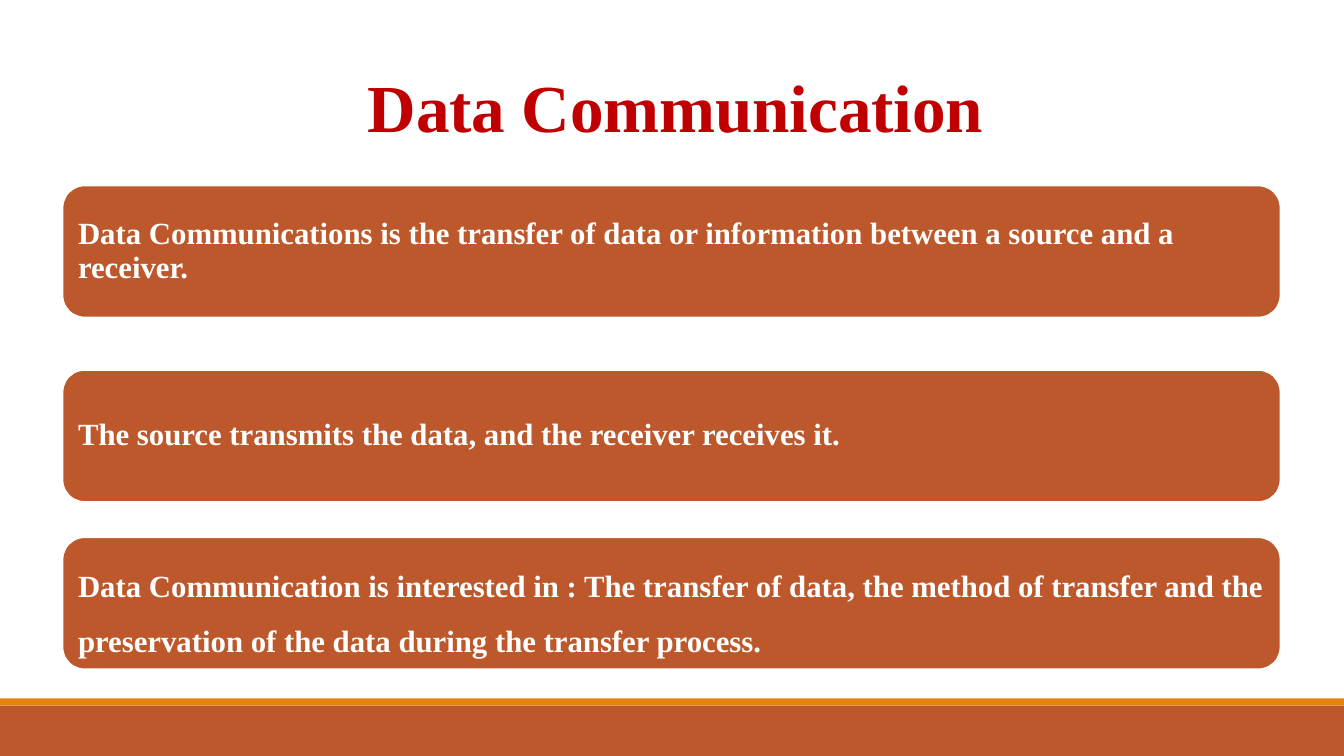
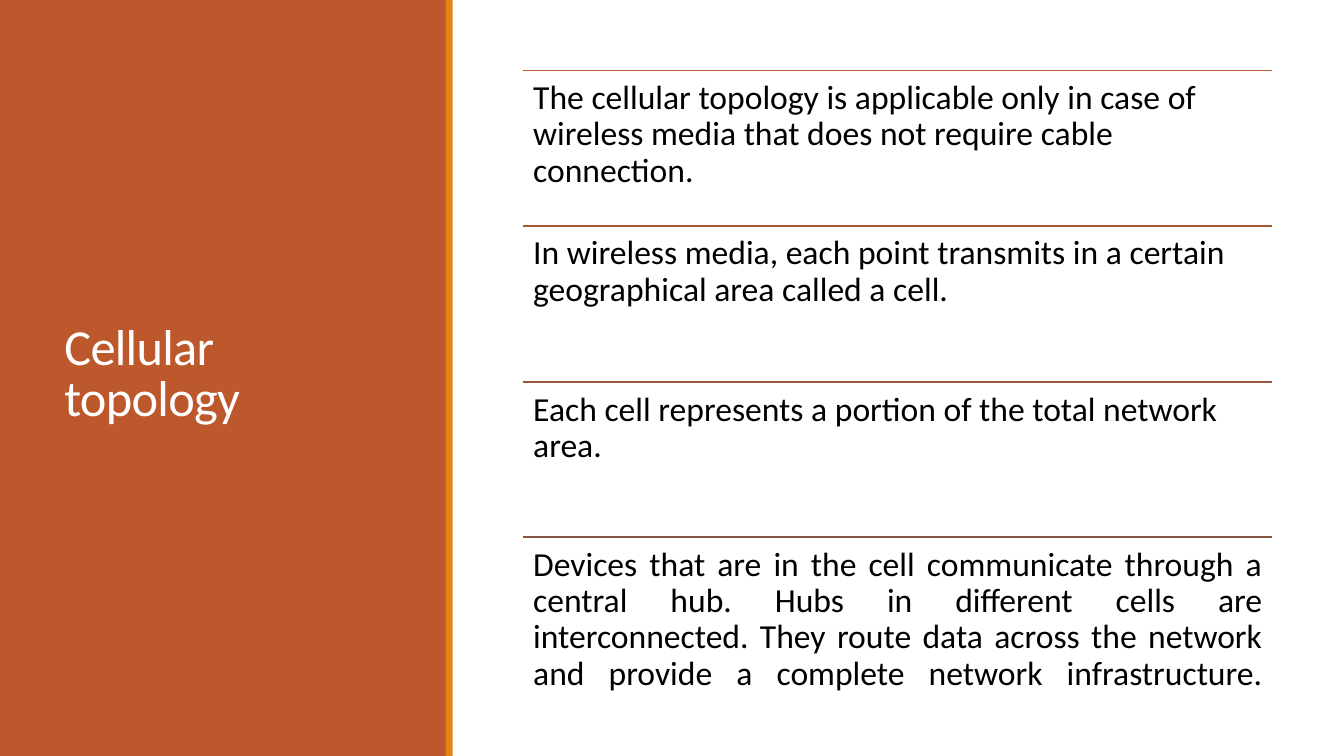
from dataclasses import dataclass

from lxml import etree
from pptx import Presentation
from pptx.dml.color import RGBColor
from pptx.enum.shapes import MSO_CONNECTOR, MSO_SHAPE
from pptx.enum.text import MSO_ANCHOR, PP_ALIGN
from pptx.oxml.ns import qn
from pptx.shapes.autoshape import Shape
from pptx.slide import Slide
from pptx.util import Inches, Pt

# Shared look
RUST = RGBColor(0xBD, 0x58, 0x2C)
AMBER = RGBColor(0xE4, 0x83, 0x12)
RED = RGBColor(0xC0, 0x00, 0x00)
WHITE = RGBColor(0xFF, 0xFF, 0xFF)
BLACK = RGBColor(0x00, 0x00, 0x00)
SERIF, SANS = "Times New Roman", "Calibri"
WIDE, HIGH, TRIM = 13.33, 7.5, 0.07

RECT, ROUND = MSO_SHAPE.RECTANGLE, MSO_SHAPE.ROUNDED_RECTANGLE
STRAIGHT = MSO_CONNECTOR.STRAIGHT
TOP, MIDDLE, BOTTOM = MSO_ANCHOR.TOP, MSO_ANCHOR.MIDDLE, MSO_ANCHOR.BOTTOM
LEFT, CENTER, JUSTIFY = PP_ALIGN.LEFT, PP_ALIGN.CENTER, PP_ALIGN.JUSTIFY


@dataclass(frozen=True)
class Area:
    left: float
    top: float
    width: float
    height: float

    def lengths(self) -> list[Inches]:
        return [Inches(v) for v in (self.left, self.top, self.width, self.height)]


@dataclass(frozen=True)
class Style:
    font: str
    size: int
    color: RGBColor
    bold: bool = False
    anchor: MSO_ANCHOR = MIDDLE
    spacing: float = 0.9
    inset: float = 0.1
    track: int = 0  # hundredths of a point


@dataclass(frozen=True)
class Card:
    top: float
    text: str
    spacing: float = 0.9


@dataclass(frozen=True)
class Row:
    color: RGBColor
    text: str
    align: PP_ALIGN = LEFT


TITLE = Style(SERIF, 48, RED, True, BOTTOM, 0.85, track=-10)
SIDE = Style(SANS, 36, WHITE, spacing=0.85, track=-50)
BODY = Style(SANS, 24, BLACK, anchor=TOP)

CARDS = [
    Card(1.84, "Data Communications is the transfer of data or information "
         "between a source and a receiver."),
    Card(3.67, "The source transmits the data, and the receiver receives it."),
    Card(5.33, "Data Communication is interested in : The transfer of data, "
         "the method of transfer and the preservation of the data during "
         "the transfer process.", 1.5),
]
# The closing line break stretches the last justified line
ROWS = [
    Row(RUST, "The cellular topology is applicable only in case of wireless "
        "media that does not require cable connection."),
    Row(RGBColor(0xAA, 0x58, 0x34), "In wireless media, each point transmits "
        "in a certain geographical area called a cell."),
    Row(RGBColor(0x97, 0x57, 0x3A), "Each cell represents a portion of the "
        "total network area."),
    Row(RGBColor(0x86, 0x56, 0x40), "Devices that are in the cell communicate "
        "through a central hub. Hubs in different cells are interconnected. "
        "They route data across the network and provide a complete network "
        "infrastructure.\v", JUSTIFY),
]


def add_block(slide: Slide, area: Area, color: RGBColor, kind: MSO_SHAPE = RECT) -> Shape:
    block = slide.shapes.add_shape(kind, *area.lengths())
    block.shadow.inherit = False
    block.fill.solid()
    block.fill.fore_color.rgb = color
    block.line.fill.background()
    return block


def set_text(shape: Shape, text: str, style: Style, align: PP_ALIGN = LEFT) -> None:
    frame = shape.text_frame
    frame.word_wrap = True
    frame.vertical_anchor = style.anchor
    frame.margin_left = frame.margin_right = Inches(style.inset)
    frame.margin_top = frame.margin_bottom = Inches(style.inset)
    para = frame.paragraphs[0]
    para.text = text
    para.alignment = align
    para.line_spacing = style.spacing
    font = para.font
    font.name, font.size, font.bold = style.font, Pt(style.size), style.bold
    font.color.rgb = style.color
    if style.track:
        for run in para.runs:
            run._r.get_or_add_rPr().set("spc", str(style.track))


def add_text(slide: Slide, area: Area, text: str, style: Style,
             align: PP_ALIGN = LEFT) -> None:
    set_text(slide.shapes.add_textbox(*area.lengths()), text, style, align)


def add_rule(slide: Slide, left: float, top: float, width: float, color: RGBColor) -> None:
    rule = slide.shapes.add_connector(
        STRAIGHT, Inches(left), Inches(top), Inches(left + width), Inches(top))
    rule.line.color.rgb = color
    rule.line.width = Pt(1.25)
    etree.SubElement(rule._element.spPr, qn("a:effectLst"))


def build_cards(slide: Slide) -> None:
    # Footer bands
    add_block(slide, Area(0, 7, WIDE, 0.5), RUST)
    add_block(slide, Area(0, 7 - TRIM, WIDE, TRIM), AMBER)
    # Title
    add_text(slide, Area(1.2, 0.36, 11, 1.19), "Data Communication", TITLE, CENTER)
    # Rounded cards
    for card in CARDS:
        block = add_block(slide, Area(0.62, card.top, 12.08, 1.31), RUST, ROUND)
        block.line.color.rgb = WHITE
        block.line.width = Pt(1.25)
        style = Style(SERIF, 22, WHITE, True, spacing=card.spacing, inset=0.09)
        set_text(block, card.text, style)


def build_rows(slide: Slide) -> None:
    # Side panel with title
    add_block(slide, Area(0, 0, 4.43, HIGH), RUST)
    add_text(slide, Area(0.54, 0.57, 3.37, 6.31), "Cellular topology", SIDE)
    add_block(slide, Area(4.42, 0, TRIM, HIGH), AMBER)
    # Ruled rows
    left, width, first, pitch = 5.19, 7.43, 0.7, 1.544
    for i, row in enumerate(ROWS):
        top = round(first + i * pitch, 2)
        add_rule(slide, left, top, width, row.color)
        add_text(slide, Area(left, top, width, 1.54), row.text, BODY, row.align)


def main() -> None:
    deck = Presentation()
    deck.slide_width, deck.slide_height = Inches(WIDE), Inches(HIGH)
    blank = deck.slide_layouts[6]
    for build in (build_cards, build_rows):
        build(deck.slides.add_slide(blank))
    deck.save("out.pptx")


if __name__ == "__main__":
    main()
